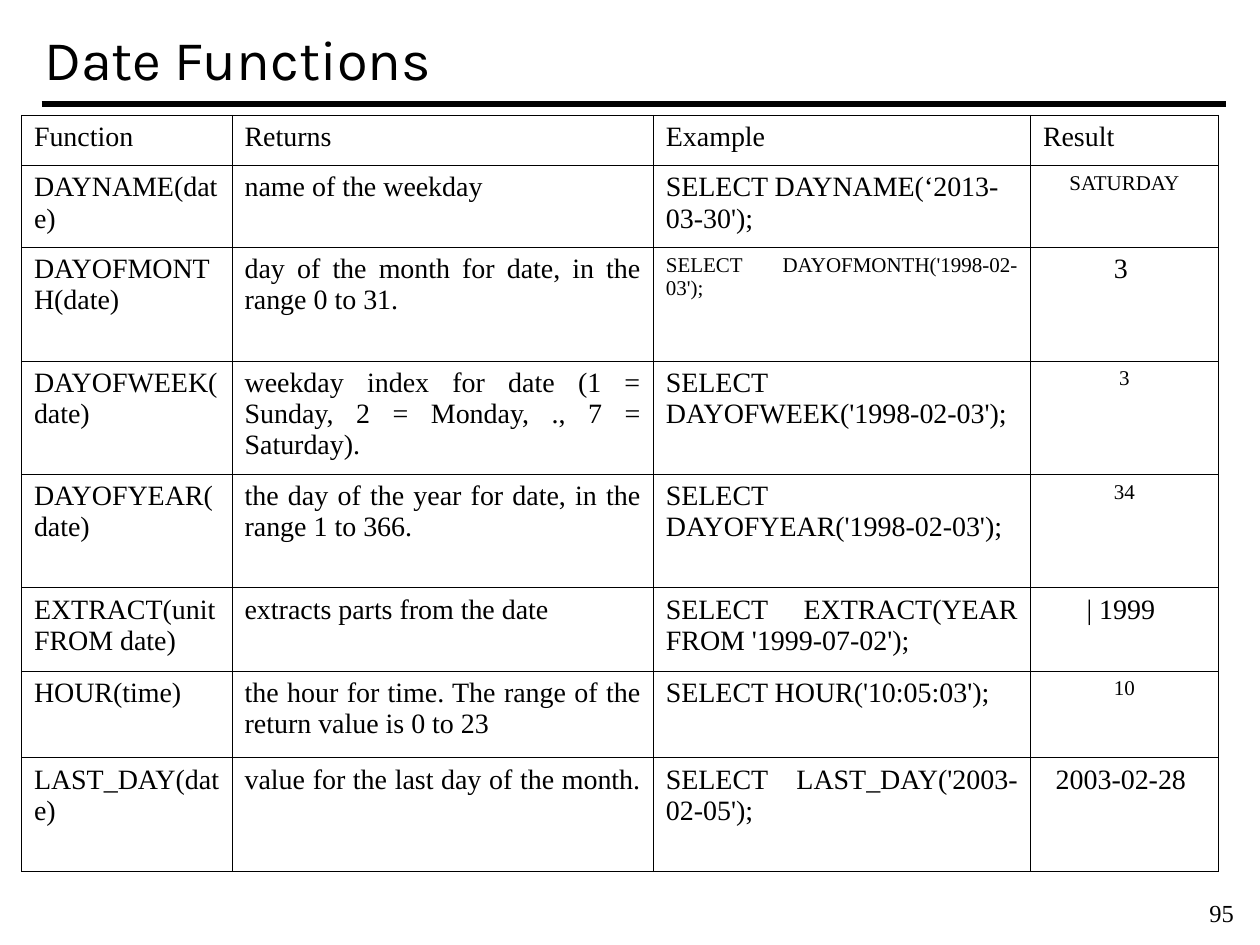
from lxml import etree
from pptx import Presentation
from pptx.dml.color import RGBColor
from pptx.enum.shapes import MSO_CONNECTOR
from pptx.enum.text import MSO_ANCHOR, PP_ALIGN
from pptx.oxml.ns import qn
from pptx.util import Inches, Pt

LEFT, MID, JUST = PP_ALIGN.LEFT, PP_ALIGN.CENTER, PP_ALIGN.JUSTIFY
CENTER = MSO_ANCHOR.MIDDLE
LINE = MSO_CONNECTOR.STRAIGHT
HEX = {"ink": "000000", "paper": "FFFFFF"}
INK = RGBColor.from_string(HEX["ink"])
PAPER = RGBColor.from_string(HEX["paper"])
WIDE, HIGH = Inches(10), Inches(7.5)
BODY = {"name": "Times New Roman", "size": Pt(16)}
SMALL = {**BODY, "size": Pt(12)}
PAGE = {**BODY, "size": Pt(14)}
HEAD = {"name": "Karla", "size": Pt(32)}

COLS = [1.67, 3.34, 2.99, 1.49]
TALL = 0.9
ROWS = [0.4, 0.65, TALL, TALL, TALL, 0.66, 0.69, TALL]
DATA = [
    ("Function", "Returns", "Example", "Result"),
    ("DAYNAME(date)", "name of the weekday ",
     "SELECT DAYNAME(‘2013-03-30');", "SATURDAY"),
    ("DAYOFMONTH(date)", "day of the month for date, in the range 0 to 31.",
     "SELECT DAYOFMONTH('1998-02-03');", "3 "),
    ("DAYOFWEEK(date)",
     "weekday index for date (1 = Sunday, 2 = Monday, ., 7 = Saturday).",
     "SELECT DAYOFWEEK('1998-02-03');", "3"),
    ("DAYOFYEAR(date)", "the day of the year for date, in the range 1 to 366.",
     "SELECT DAYOFYEAR('1998-02-03');", "34"),
    ("EXTRACT(unit FROM date)", "extracts parts from the date",
     "SELECT EXTRACT(YEAR FROM '1999-07-02');", "| 1999 "),
    ("HOUR(time)", "the hour for time. The range of the return value is 0 to 23",
     "SELECT HOUR('10:05:03');", "10"),
    ("LAST_DAY(date)", "value for the last day of the month. ",
     "SELECT LAST_DAY('2003-02-05');", "2003-02-28 "),
]
MINOR = {(1, 3), (2, 2), (3, 3), (4, 3), (6, 3)}
RAGGED = {(1, 0), (1, 2), (2, 0), (3, 2), (4, 0)}


def share(x, y, w, h):
    return int(x * WIDE), int(y * HIGH), int(w * WIDE), int(h * HIGH)


def write(frame, text, look, side):
    para = frame.paragraphs[0]
    para.alignment = side
    run = para.add_run()
    run.text = text
    for key, val in look.items():
        setattr(run.font, key, val)
    run.font.color.rgb = INK


def edge(cell):
    props = cell._tc.get_or_add_tcPr()
    for spot, tag in enumerate(("a:lnL", "a:lnR", "a:lnT", "a:lnB")):
        line = etree.Element(qn(tag), w=str(int(Pt(0.45))))
        fill = etree.SubElement(line, qn("a:solidFill"))
        etree.SubElement(fill, qn("a:srgbClr"), val=HEX["ink"])
        props.insert(spot, line)


def title(slide, box):
    head = slide.shapes.title
    head.left, head.top, head.width, head.height = box
    head.text_frame.vertical_anchor = CENTER
    write(head.text_frame, "Date Functions", HEAD, LEFT)


def rule(slide, box):
    x, y, w, h = box
    line = slide.shapes.add_connector(LINE, x, y, x + w, y + h)
    line.line.width = Pt(3)
    line.line.color.rgb = INK
    etree.SubElement(line._element.spPr, qn("a:effectLst"))


def grid(slide, box):
    table = slide.shapes.add_table(len(ROWS), len(COLS), *box).table
    table.first_row = table.horz_banding = False
    for col, part in zip(table.columns, COLS):
        col.width = int(box[2] * part / sum(COLS))
    for row, part in zip(table.rows, ROWS):
        row.height = int(box[3] * part / sum(ROWS))
    for r, texts in enumerate(DATA):
        for c, text in enumerate(texts):
            cell = table.cell(r, c)
            cell.fill.solid()
            cell.fill.fore_color.rgb = PAPER
            edge(cell)
            side = MID if r and c == 3 else LEFT if (r, c) in RAGGED else JUST
            write(cell.text_frame, text, SMALL if (r, c) in MINOR else BODY, side)


def number(slide, box):
    frame = slide.shapes.add_textbox(*box).text_frame
    frame.word_wrap = True
    write(frame, "95", PAGE, LEFT)


def main():
    deck = Presentation()
    deck.slide_width, deck.slide_height = WIDE, HIGH
    slide = deck.slides.add_slide(deck.slide_layouts[5])
    rule(slide, share(0.033, 0.11, 0.94, 0))
    number(slide, share(0.95, 0.944, 0.05, 0.045))
    title(slide, share(0.025, 0, 0.95, 0.122))
    grid(slide, share(0.017, 0.122, 0.95, 0.8))
    deck.save("out.pptx")


if __name__ == "__main__":
    main()
